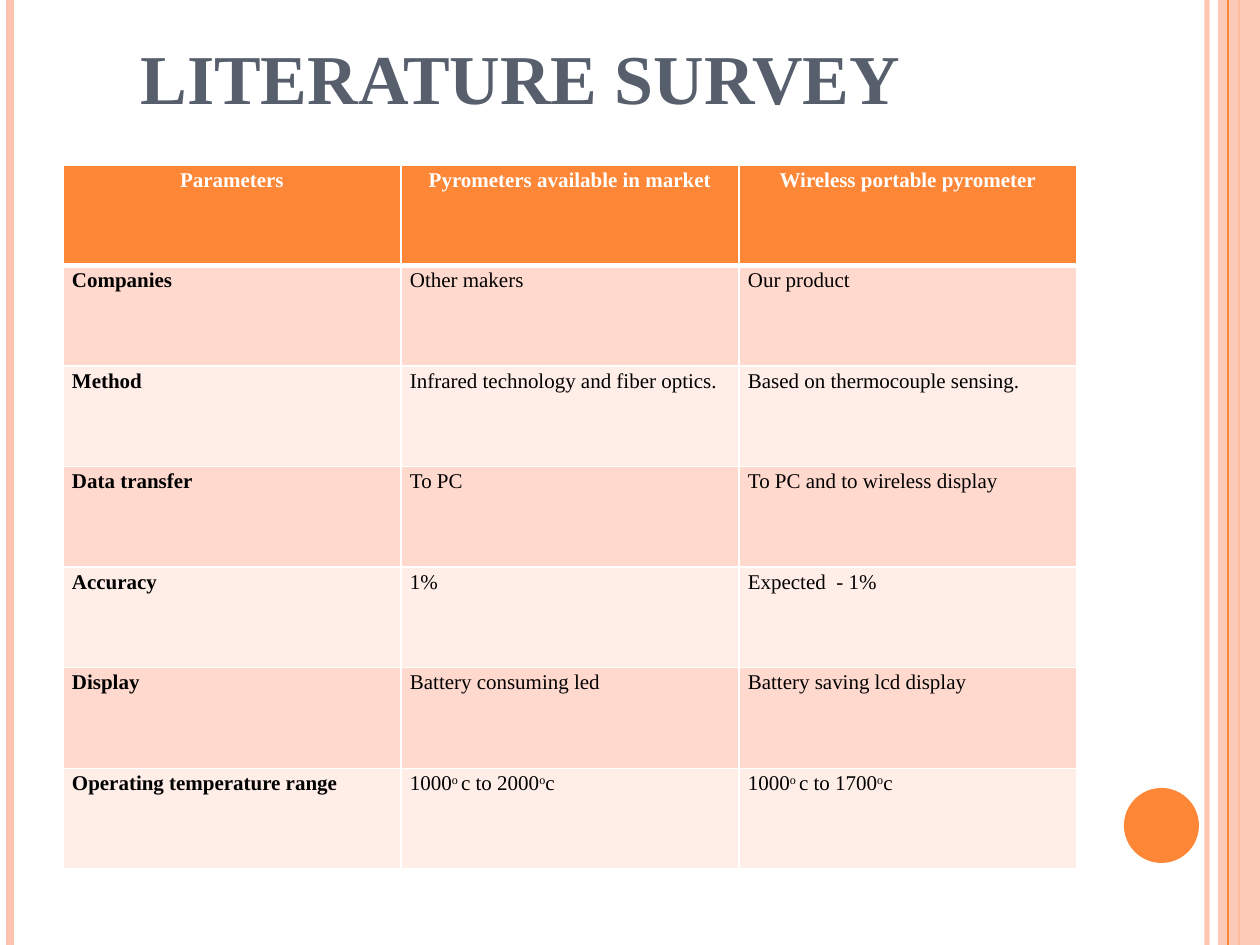
"""Build the literature survey slide comparing pyrometers."""
from lxml.etree import SubElement
from pptx import Presentation
from pptx.dml.color import RGBColor
from pptx.enum.shapes import MSO_CONNECTOR as Conn, MSO_SHAPE as Shape
from pptx.enum.text import MSO_ANCHOR as Anchor, PP_ALIGN as Align
from pptx.oxml.ns import qn
from pptx.util import Pt

PX = 914400 / 126
ORANGE, PINK, WHITE = "FE8637", "FEC3AE", "FFFFFF"
FONT = "Times New Roman"


def px(n):
    return round(n * PX)


def paint(fill, color, alpha=100):
    fill.solid()
    fill.fore_color.rgb = RGBColor.from_string(color)
    if alpha < 100:
        tone = fill._xPr.find(qn("a:solidFill"))[0]
        SubElement(tone, qn("a:alpha"), val=str(alpha * 1000))


deck = Presentation()
deck.slide_width, deck.slide_height = px(1260), px(945)
slide = deck.slides.add_slide(deck.slide_layouts[6])
shapes = slide.shapes
paint(slide.background.fill, WHITE)

bars = [
    (1207, PINK, 3, 93),
    (10, PINK, 4.5, 100),
    (1239, ORANGE, 1.5, 100),
    (None, PINK, 0, 87),
    (1228, ORANGE, 0.75, 100),
]
for x, color, width, alpha in bars:
    if x is None:
        band = shapes.add_shape(Shape.RECTANGLE, px(1218), 0, px(42), px(945))
        band.shadow.inherit = False
        band.line.fill.background()
        paint(band.fill, color, alpha)
        continue
    bar = shapes.add_connector(Conn.STRAIGHT, px(x), 0, px(x), px(945))
    bar.line.width = Pt(width)
    paint(bar.line.fill, color, alpha)
    SubElement(bar._element.spPr, qn("a:effectLst"))

disc = shapes.add_shape(Shape.OVAL, px(1124), px(788), px(75), px(75))
disc.shadow.inherit = False
disc.line.fill.background()
paint(disc.fill, ORANGE)

title = shapes.add_textbox(px(63), px(38), px(915), px(87)).text_frame
title.word_wrap = True
title.vertical_anchor = Anchor.BOTTOM
title.text = "LITERATURE SURVEY"
head = title.paragraphs[0]
head.alignment = Align.CENTER
for key, val in {"name": FONT, "size": Pt(40), "bold": True}.items():
    setattr(head.runs[0].font, key, val)
paint(head.runs[0].font.fill, "575F6D")

rows = [
    ("Parameters", "Pyrometers available in market", "Wireless portable pyrometer"),
    ("Companies", "Other makers", "Our product"),
    ("Method", "Infrared technology and fiber optics.", "Based on thermocouple sensing."),
    ("Data transfer", "To PC", "To PC and to wireless display"),
    ("Accuracy", "1%", "Expected  - 1%"),
    ("Display", "Battery consuming led", "Battery saving lcd display"),
    ("Operating temperature range", "1000^o ^c to 2000^o^c", "1000^o ^c to 1700^o^c"),
]
table = shapes.add_table(7, 3, px(63), px(165), px(1014), px(704)).table
table.first_row = table.horz_banding = False
inset = {"margin_left": px(9), "margin_right": px(9), "margin_top": 0, "margin_bottom": 0}

for r, row in enumerate(rows):
    table.rows[r].height = px(704 / 7)
    for c, text in enumerate(row):
        cell = table.cell(r, c)
        for key, val in inset.items():
            setattr(cell, key, val)
        for side in "LRTB":
            thick = (r, side) in ((0, "B"), (1, "T"))
            edge = SubElement(cell._tc.get_or_add_tcPr(), qn("a:ln" + side),
                              w=str(Pt(3 if thick else 1)))
            SubElement(SubElement(edge, qn("a:solidFill")), qn("a:srgbClr"), val=WHITE)
        paint(cell.fill, ORANGE if r == 0 else "FFD9CE" if r % 2 else "FFEDE8")
        para = cell.text_frame.paragraphs[0]
        para.alignment = Align.LEFT if r else Align.CENTER
        para.line_spacing = 1.15
        look = {"name": FONT, "size": Pt(12), "bold": r == 0 or c == 0}
        for i, part in enumerate(text.split("^")):
            run = para.add_run()
            run.text = part
            for key, val in look.items():
                setattr(run.font, key, val)
            paint(run.font.fill, "000000" if r else WHITE)
            if i % 2:
                run._r.get_or_add_rPr().set("baseline", "30000")

deck.save("out.pptx")
